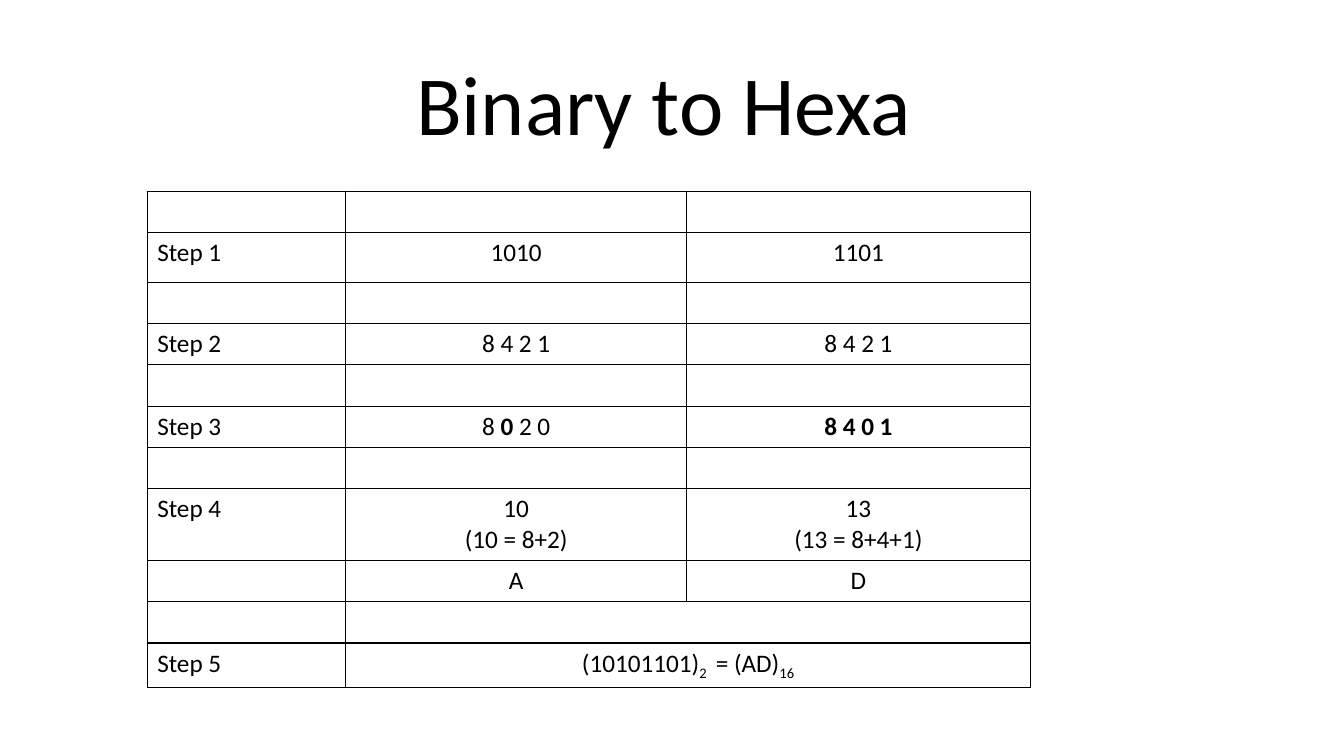
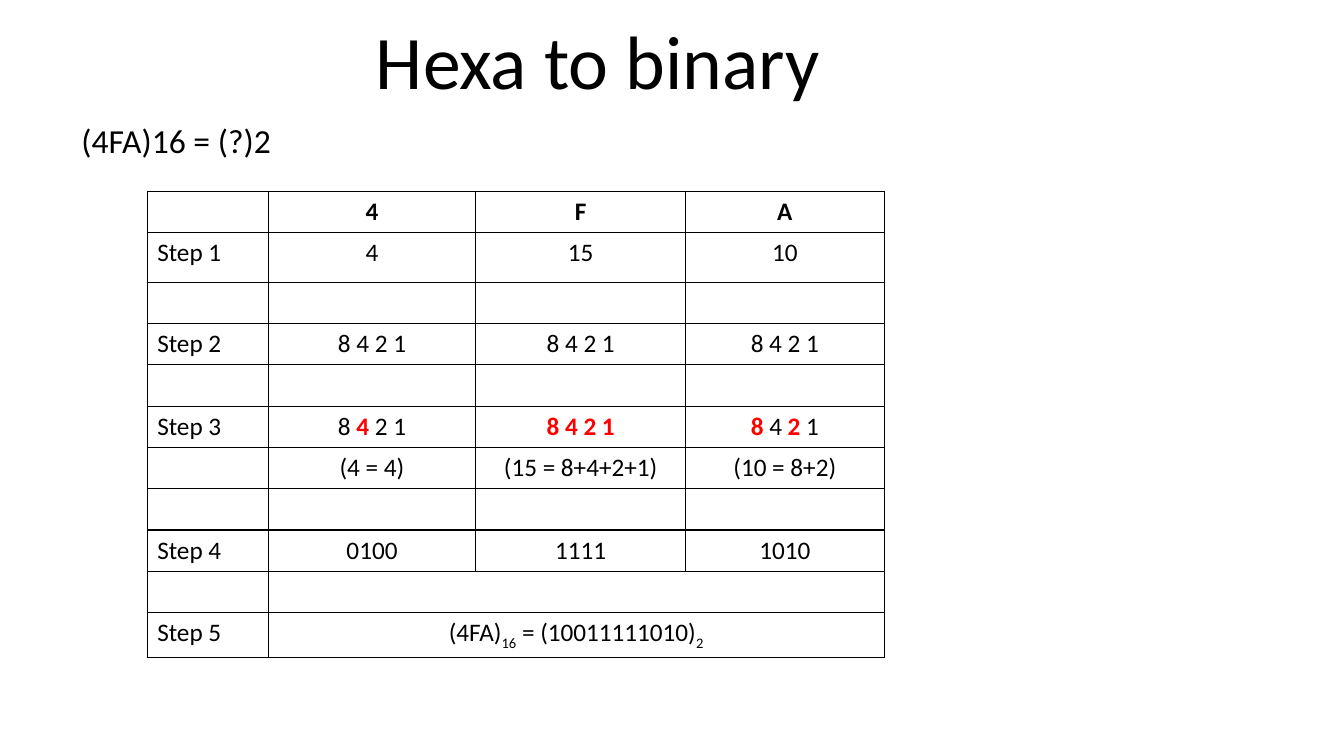
from dataclasses import dataclass
from typing import Union

import pptx
import pptx.dml.color
import pptx.enum.text
import pptx.oxml
import pptx.oxml.ns
import pptx.util

FONT = "Calibri"
BLACK = "000000"
RED = "FF0000"
EMU_PER_PX = 9144
TABLE_LEFT, TABLE_TOP = 146, 190
ROW, STEP_ONE_ROW, TWO_LINE_ROW, RESULT_ROW = 41, 49, 71, 44
LEFT = pptx.enum.text.PP_ALIGN.LEFT
CENTER = pptx.enum.text.PP_ALIGN.CENTER
TOP = pptx.enum.text.MSO_ANCHOR.TOP
BOTTOM = pptx.enum.text.MSO_ANCHOR.BOTTOM


@dataclass(frozen=True)
class Run:
    text: str
    bold: bool = False
    color: str = BLACK
    baseline: int = 0


@dataclass(frozen=True)
class Box:
    left: int
    top: int
    width: int
    height: int


@dataclass(frozen=True)
class Conversion:
    title: str
    title_box: Box
    title_size: int
    columns: list[int]
    row_heights: list[int]
    rows: list[list["Content"]]
    question: str = ""


Content = Union[str, list[Run]]


def px(length: int) -> pptx.util.Emu:
    return pptx.util.Emu(length * EMU_PER_PX)


def rgb(value: str) -> pptx.dml.color.RGBColor:
    return pptx.dml.color.RGBColor.from_string(value)


def bold(text: str, color: str = BLACK) -> Run:
    return Run(text, bold=True, color=color)


def subscript(text: str) -> Run:
    return Run(text, baseline=-25000)


def write_text(frame, content: Content, *, size: int, align=LEFT, anchor=TOP,
               line_spacing: float = 1.0, space_before: int = 0) -> None:
    frame.word_wrap = True
    frame.vertical_anchor = anchor
    if isinstance(content, str):
        lines = [[Run(line)] for line in content.split("\n")]
    else:
        lines = [content]
    for index, line in enumerate(lines):
        paragraph = frame.add_paragraph() if index else frame.paragraphs[0]
        paragraph.alignment = align
        paragraph.line_spacing = line_spacing
        paragraph.space_before = pptx.util.Pt(space_before)
        for part in line:
            run = paragraph.add_run()
            run.text = part.text
            run.font.name = FONT
            run.font.size = pptx.util.Pt(size)
            run.font.bold = part.bold
            run.font.color.rgb = rgb(part.color)
            if part.baseline:
                run.font._element.set("baseline", str(part.baseline))


def place(shape, box: Box) -> None:
    shape.left, shape.top = px(box.left), px(box.top)
    shape.width, shape.height = px(box.width), px(box.height)


def outline_cell(cell) -> None:
    properties = cell._tc.get_or_add_tcPr()
    for side in ("lnL", "lnR", "lnT", "lnB"):
        properties.append(pptx.oxml.parse_xml(
            f'<a:{side} {pptx.oxml.ns.nsdecls("a")} w="12700"><a:solidFill>'
            f'<a:srgbClr val="{BLACK}"/></a:solidFill></a:{side}>'))
    cell.fill.background()


def add_steps_table(slide, conversion: Conversion) -> None:
    columns, heights = conversion.columns, conversion.row_heights
    table = slide.shapes.add_table(
        len(heights), len(columns), px(TABLE_LEFT), px(TABLE_TOP),
        px(sum(columns)), px(sum(heights))).table
    table.first_row = table.horz_banding = False
    for column, width in zip(table.columns, columns):
        column.width = px(width)
    for row, height in zip(table.rows, heights):
        row.height = px(height)
    for cell in table.iter_cells():
        outline_cell(cell)
    for row_index, contents in enumerate(conversion.rows):
        if len(contents) == 2:
            table.cell(row_index, 1).merge(table.cell(row_index, len(columns) - 1))
        for column_index, content in enumerate(contents):
            if content:
                write_text(table.cell(row_index, column_index).text_frame, content,
                           size=18, align=CENTER if column_index else LEFT)


def add_conversion_slide(presentation, conversion: Conversion) -> None:
    slide = presentation.slides.add_slide(presentation.slide_layouts[5])
    title = slide.shapes.title
    place(title, conversion.title_box)
    title.text_frame.auto_size = pptx.enum.text.MSO_AUTO_SIZE.NONE
    write_text(title.text_frame, conversion.title, size=conversion.title_size,
               align=CENTER, anchor=BOTTOM, line_spacing=0.9)
    if conversion.question:
        question = slide.shapes.add_textbox(px(71), px(119), px(1151), px(50))
        write_text(question.text_frame, conversion.question, size=24,
                   line_spacing=0.9, space_before=10)
    add_steps_table(slide, conversion)


WEIGHTS = "8 4 2 1"

CONVERSIONS = [
    Conversion(
        title="Binary to Hexa",
        title_box=Box(158, 52, 1000, 105),
        title_size=60,
        columns=[197, 338, 341],
        row_heights=[ROW, STEP_ONE_ROW, *[ROW] * 5, TWO_LINE_ROW, ROW, ROW, RESULT_ROW],
        rows=[
            ["", "", ""],
            ["Step 1", "1010", "1101"],
            ["", "", ""],
            ["Step 2", WEIGHTS, WEIGHTS],
            ["", "", ""],
            ["Step 3", [Run("8 "), bold("0 "), Run("2 0")], [bold("8 4 0 1")]],
            ["", "", ""],
            ["Step 4", "10\n(10 = 8+2)", "13\n(13 = 8+4+1)"],
            ["", "A", "D"],
            ["", ""],
            ["Step 5", [Run("(10101101)"), subscript("2 "), Run(" = (AD)"),
                        subscript("16")]],
        ],
    ),
    Conversion(
        title="Hexa to binary",
        title_box=Box(93, 21, 1000, 89),
        title_size=54,
        question="(4FA)16 = (?)2",
        columns=[120, 206, 208, 197],
        row_heights=[ROW, STEP_ONE_ROW, *[ROW] * 8, RESULT_ROW],
        rows=[
            ["", [bold("4")], [bold("F")], [bold("A")]],
            ["Step 1", "4", "15", "10"],
            ["", "", "", ""],
            ["Step 2", WEIGHTS, WEIGHTS, WEIGHTS],
            ["", "", "", ""],
            ["Step 3", [Run("8 "), bold("4 ", RED), Run("2 1")], [bold(WEIGHTS, RED)],
             [bold("8 ", RED), Run("4 "), bold("2 ", RED), Run("1")]],
            ["", "(4 = 4)", "(15 = 8+4+2+1)", "(10 = 8+2)"],
            ["", "", "", ""],
            ["Step 4", "0100", "1111", "1010"],
            ["", ""],
            ["Step 5", [Run("(4FA)"), subscript("16"), Run(" = (10011111010)"),
                        subscript("2")]],
        ],
    ),
]


def main() -> None:
    presentation = pptx.Presentation()
    presentation.slide_width, presentation.slide_height = px(1333), px(750)
    for conversion in CONVERSIONS:
        add_conversion_slide(presentation, conversion)
    presentation.save("out.pptx")


if __name__ == "__main__":
    main()
